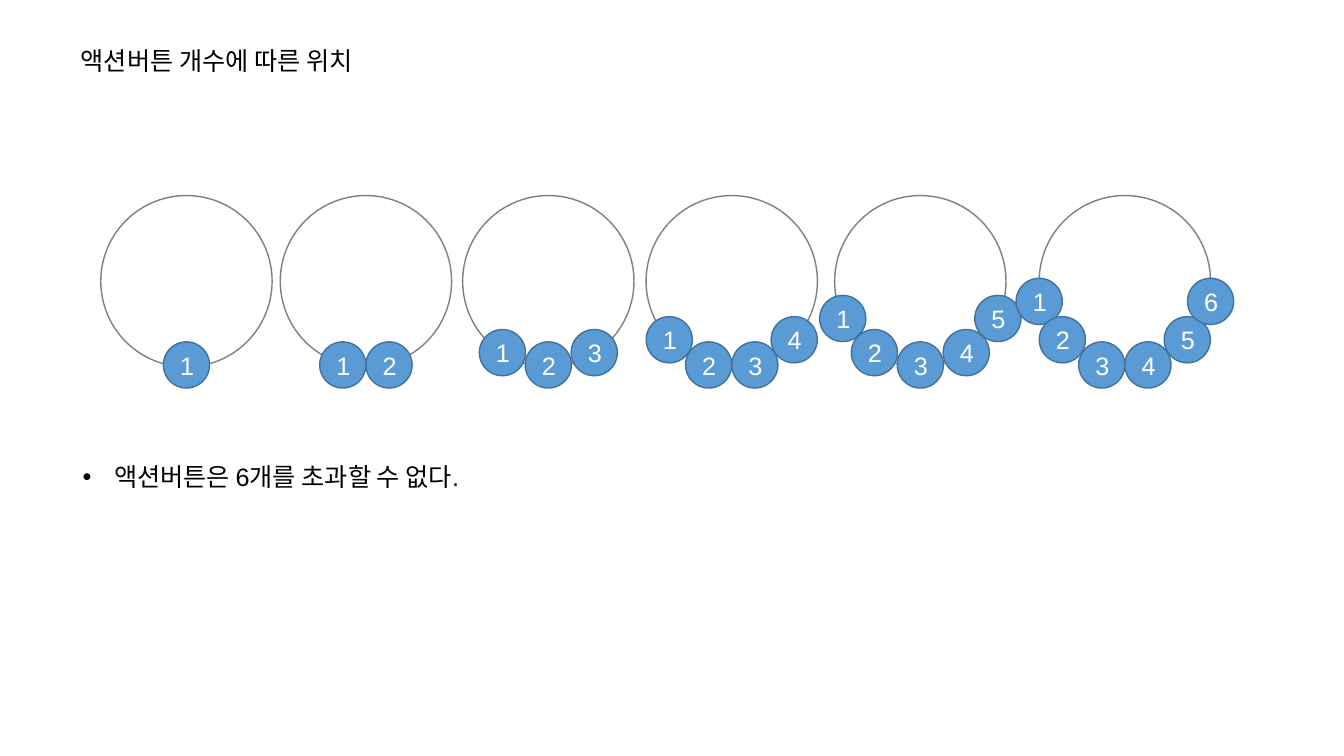
from lxml import etree
from pptx import Presentation
from pptx import util as u
from pptx.dml.color import RGBColor
from pptx.enum import shapes, text
from pptx.oxml.ns import qn

Pt = u.Pt
BLACK = RGBColor(0x00, 0x00, 0x00)
WHITE = RGBColor(0xFF, 0xFF, 0xFF)
GRAY = RGBColor(0x7F, 0x7F, 0x7F)
BLUE = RGBColor(0x5B, 0x9B, 0xD5)
DARK_BLUE = RGBColor(0x42, 0x71, 0x9B)

RING_SIZE = 122.4
RING_TOP = 139.7
RING_LEFTS = [72, 200.2, 330.5, 461.5, 596.2, 742.3]
BUTTON_SIZE = 33
ODD_OFFSETS = [(0, 59.8), (32.8, 51), (55.4, 26.6)]
EVEN_OFFSETS = [(16.5, 59.8), (44.6, 41.8), (61.2, 14.4)]


def add_run(p, content, color):
    r = p.add_run()
    r.text = content
    r.font.size = Pt(18)
    r.font.name = "Arial"
    r.font.color.rgb = color


def place_text(sp, left, top, width, height):
    sp.left, sp.top, sp.width, sp.height = map(Pt, (left, top, width, height))
    tf = sp.text_frame
    tf.word_wrap = True
    tf.auto_size = text.MSO_AUTO_SIZE.NONE
    tf.vertical_anchor = text.MSO_ANCHOR.TOP
    p = tf.paragraphs[0]
    p.alignment = text.PP_ALIGN.LEFT
    p.space_before = Pt(0)
    return p


def fill_title(sp, left, top, width, height):
    p = place_text(sp, left, top, width, height)
    add_run(p, "액션버튼 개수에 따른 위치", BLACK)


def fill_note(sp, left, top, width, height):
    p = place_text(sp, left, top, width, height)
    p.level = 1
    pPr = p._p.get_or_add_pPr()
    pPr.set("marL", str(Pt(58.5)))
    pPr.set("indent", str(-Pt(22.5)))
    clr = etree.SubElement(pPr, qn("a:buClr"))
    etree.SubElement(clr, qn("a:srgbClr"), val=str(BLACK))
    etree.SubElement(pPr, qn("a:buFont"), typeface="Arial")
    etree.SubElement(pPr, qn("a:buChar"), char="•")
    add_run(p, "액션버튼은 6개를 초과할 수 없다.", BLACK)


def add_circle(s, cx, cy, size, line):
    sp = s.shapes.add_shape(
        shapes.MSO_SHAPE.OVAL,
        Pt(cx - size / 2), Pt(cy - size / 2), Pt(size), Pt(size))
    sp.shadow.inherit = False
    sp.line.color.rgb = line
    sp.line.width = Pt(1)
    return sp


def add_button(s, cx, cy, number):
    sp = add_circle(s, cx, cy, BUTTON_SIZE, DARK_BLUE)
    sp.fill.solid()
    sp.fill.fore_color.rgb = BLUE
    tf = sp.text_frame
    tf.vertical_anchor = text.MSO_ANCHOR.MIDDLE
    p = tf.paragraphs[0]
    p.alignment = text.PP_ALIGN.CENTER
    add_run(p, str(number), WHITE)


def button_offsets(count):
    half = (ODD_OFFSETS if count % 2 else EVEN_OFFSETS)[:(count + 1) // 2]
    return sorted({(side * dx, dy) for dx, dy in half for side in (-1, 1)})


def add_ring(s, left, top, size, count):
    cx, cy = left + size / 2, top + size / 2
    add_circle(s, cx, cy, size, GRAY).fill.background()
    for number, (dx, dy) in enumerate(button_offsets(count), 1):
        add_button(s, cx + dx, cy + dy, number)


def main():
    prs = Presentation()
    prs.slide_width, prs.slide_height = Pt(960), Pt(540)
    s = prs.slides.add_slide(prs.slide_layouts[1])
    fill_title(s.shapes.title, 50.4, 29, 234, 29)
    fill_note(s.placeholders[1], 15.8, 326.2, 402.5, 29)
    for count, left in enumerate(RING_LEFTS, 1):
        add_ring(s, left, RING_TOP, RING_SIZE, count)
    prs.save("out.pptx")


if __name__ == "__main__":
    main()
